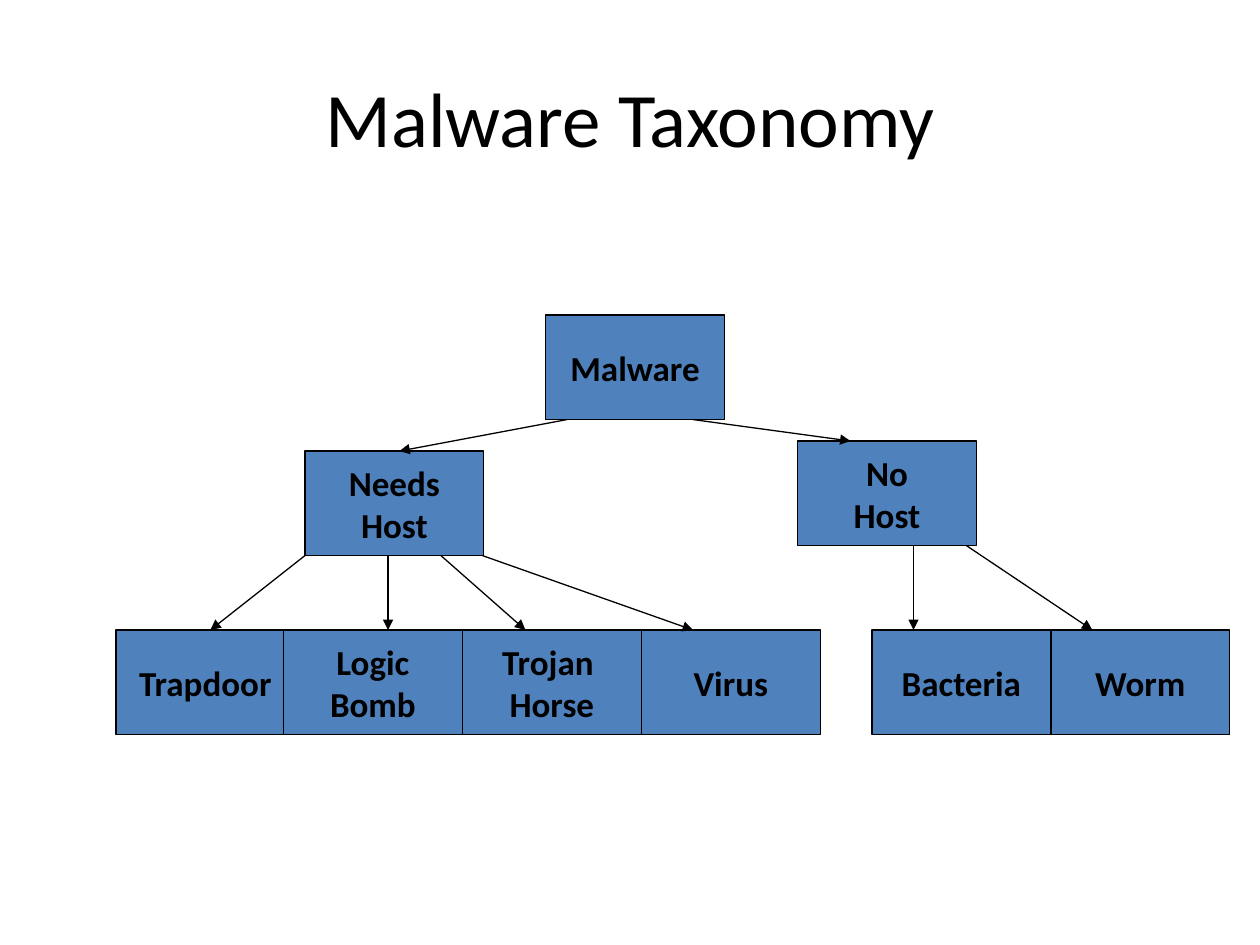
from lxml.etree import SubElement
from pptx import Presentation
from pptx.dml.color import RGBColor
from pptx.enum.shapes import MSO_CONNECTOR, MSO_SHAPE
from pptx.enum.text import MSO_ANCHOR, PP_ALIGN
from pptx.oxml.ns import qn
from pptx.util import Inches, Pt

TITLE = "Malware Taxonomy"
BOX_WIDTH, BOX_HEIGHT = 1.42, 0.83
LEAF_TOP = 5

# name: (label, left, top)
BRANCHES = {
    "malware": ("Malware", 4.33, 2.5),
    "needs host": ("Needs\nHost", 2.42, 3.58),
    "no host": ("No\nHost", 6.33, 3.5),
}
# Each run of adjoining leaves: (left of the first, labels)
LEAF_RUNS = [
    (0.92, ["Trapdoor"]),
    (2.25, ["Logic\nBomb", "Trojan \nHorse", "Virus"]),
    (6.92, ["Bacteria", "Worm"]),
]
# Parent: (x at the parent's bottom, x at the child's top, top of the child)
ARROWS = {
    "malware": [(4.5, 3.17, BRANCHES["needs host"][2]),
                (5.5, 6.75, BRANCHES["no host"][2])],
    "needs host": [(2.42, 1.67, LEAF_TOP), (3.08, 3.08, LEAF_TOP),
                   (3.5, 4.17, LEAF_TOP), (3.83, 5.5, LEAF_TOP)],
    "no host": [(7.25, 7.25, LEAF_TOP), (7.67, 8.67, LEAF_TOP)],
}
THEME = {
    "font": "Calibri",
    "text": RGBColor(0x00, 0x00, 0x00),
    "line": RGBColor(0x00, 0x00, 0x00),
    "fill": RGBColor(0x4F, 0x81, 0xBD),
    "title size": Pt(44),
    "box size": Pt(20),
    "line width": Pt(0.75),
}


def format_text(text_frame, size, bold):
    text_frame.vertical_anchor = MSO_ANCHOR.MIDDLE
    for paragraph in text_frame.paragraphs:
        paragraph.alignment = PP_ALIGN.CENTER
        for run in paragraph.runs:
            run.font.name = THEME["font"]
            run.font.size = size
            run.font.bold = bold
            run.font.color.rgb = THEME["text"]


def format_line(line):
    line.color.rgb = THEME["line"]
    line.width = THEME["line width"]


def add_title(slide):
    title = slide.shapes.title
    title.left, title.top = Inches(0.5), Inches(0.3)
    title.width, title.height = Inches(9), Inches(1.25)
    title.text_frame.text = TITLE
    format_text(title.text_frame, THEME["title size"], False)


def add_box(slide, label, left, top):
    shape = slide.shapes.add_shape(
        MSO_SHAPE.RECTANGLE, Inches(left), Inches(top),
        Inches(BOX_WIDTH), Inches(BOX_HEIGHT))
    shape.shadow.inherit = False
    shape.fill.solid()
    shape.fill.fore_color.rgb = THEME["fill"]
    format_line(shape.line)
    shape.text_frame.text = label
    shape.text_frame.word_wrap = False
    format_text(shape.text_frame, THEME["box size"], True)


def add_arrow(slide, start_x, start_y, end_x, end_y):
    connector = slide.shapes.add_connector(
        MSO_CONNECTOR.STRAIGHT, Inches(start_x), Inches(start_y),
        Inches(end_x), Inches(end_y))
    format_line(connector.line)
    SubElement(connector.line._get_or_add_ln(), qn("a:tailEnd"), type="triangle")
    SubElement(connector._element.spPr, qn("a:effectLst"))


def main():
    presentation = Presentation()
    presentation.slide_width, presentation.slide_height = Inches(10), Inches(7.5)
    slide = presentation.slides.add_slide(presentation.slide_layouts[5])
    add_title(slide)
    for first_left, labels in LEAF_RUNS:
        for index, label in enumerate(labels):
            add_box(slide, label, first_left + index * BOX_WIDTH, LEAF_TOP)
    for label, left, top in BRANCHES.values():
        add_box(slide, label, left, top)
    for parent, arrows in ARROWS.items():
        parent_bottom = BRANCHES[parent][2] + BOX_HEIGHT
        for start_x, end_x, child_top in arrows:
            add_arrow(slide, start_x, parent_bottom, end_x, child_top)
    presentation.save("out.pptx")


if __name__ == "__main__":
    main()
